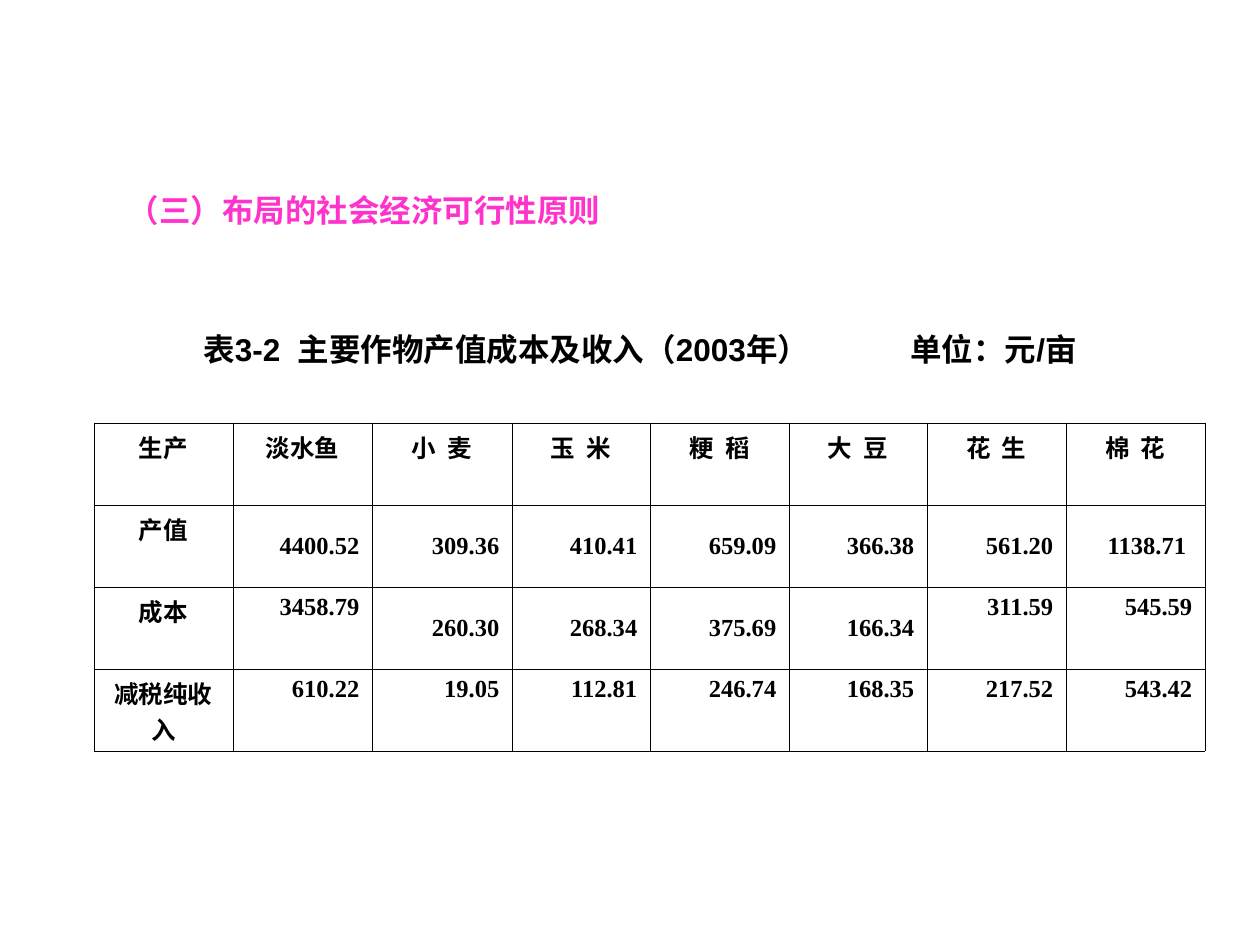
"""Build the slide on crop output value, cost and income."""
from dataclasses import dataclass
from typing import Any

from lxml import etree
from pptx import Presentation
from pptx.dml.color import RGBColor
from pptx.enum.text import MSO_ANCHOR, MSO_AUTO_SIZE, PP_ALIGN
from pptx.oxml.ns import qn
from pptx.util import Pt

EMU_PER_PX = 914400 / 126
PINK = RGBColor(0xFF, 0x33, 0xCC)
BLACK = RGBColor(0, 0, 0)
LEFT, CENTER, RIGHT = PP_ALIGN.LEFT, PP_ALIGN.CENTER, PP_ALIGN.RIGHT
TOP, MIDDLE = MSO_ANCHOR.TOP, MSO_ANCHOR.MIDDLE
FIT_SHAPE = MSO_AUTO_SIZE.SHAPE_TO_FIT_TEXT
OUTER, INNER = Pt(0.45), Pt(0.34)

COL_WIDTHS = [139, 139, 140, 138, 139, 138, 139, 139]
ROW_HEIGHT = 82
UNIT_TAB = 707


@dataclass(frozen=True)
class Box:
    left: int
    top: int
    width: int
    height: int

    def emu(self) -> list[int]:
        return [px(v) for v in (self.left, self.top, self.width, self.height)]


@dataclass(frozen=True)
class Row:
    cells: list[str]
    middle: range = range(0)
    align: Any = RIGHT


ROWS = [
    Row(["生产", "淡水鱼", "小  麦", "玉  米", "粳  稻", "大  豆", "花  生", "棉  花"],
        align=CENTER),
    Row(["产值", "4400.52", "309.36", "410.41", "659.09", "366.38", "561.20", "1138.71 "],
        range(1, 8)),
    Row(["成本", "3458.79", "260.30", "268.34", "375.69", "166.34", "311.59", "545.59"],
        range(2, 6)),
    Row(["减税纯收入", "610.22", "19.05", "112.81", "246.74", "168.35", "217.52", "543.42"]),
]


def px(value: float) -> int:
    return round(value * EMU_PER_PX)


def write(tf: Any, text: str, font: str, size: int, color: RGBColor, align: Any) -> None:
    p = tf.paragraphs[0]
    p.alignment = align
    r = p.add_run()
    r.text = text
    for name, value in {"name": font, "size": Pt(size), "bold": True}.items():
        setattr(r.font, name, value)
    r.font.color.rgb = color


def format_frame(tf: Any, wrap: bool) -> None:
    settings = {"word_wrap": wrap, "vertical_anchor": MIDDLE, "auto_size": FIT_SHAPE}
    for name, value in settings.items():
        setattr(tf, name, value)


def add_border(cell: Any, side: str, width: int) -> None:
    ln = etree.SubElement(cell._tc.get_or_add_tcPr(), qn(f"a:{side}"), w=str(int(width)))
    fill = etree.SubElement(ln, qn("a:solidFill"))
    etree.SubElement(fill, qn("a:srgbClr"), val=str(BLACK))


def add_heading(slide: Any, box: Box, text: str) -> None:
    sp = slide.shapes.title
    sp.left, sp.top, sp.width, sp.height = box.emu()
    format_frame(sp.text_frame, True)
    write(sp.text_frame, text, "Arial", 18, PINK, LEFT)


def add_caption(slide: Any, box: Box, text: str) -> None:
    tf = slide.shapes.add_textbox(*box.emu()).text_frame
    format_frame(tf, False)
    write(tf, text, "Arial", 18, BLACK, LEFT)
    tabs = etree.SubElement(tf.paragraphs[0]._p.get_or_add_pPr(), qn("a:tabLst"))
    etree.SubElement(tabs, qn("a:tab"), pos=str(px(UNIT_TAB)), algn="l")


def add_crop_table(slide: Any, left: int, top: int) -> None:
    box = Box(left, top, sum(COL_WIDTHS), ROW_HEIGHT * len(ROWS))
    table = slide.shapes.add_table(len(ROWS), len(COL_WIDTHS), *box.emu()).table
    table.first_row = table.horz_banding = False
    for col, width in zip(table.columns, COL_WIDTHS):
        col.width = px(width)
    for i, row in enumerate(ROWS):
        table.rows[i].height = px(ROW_HEIGHT)
        borders = {"lnL": INNER, "lnR": INNER,
                   "lnT": OUTER if i < 2 else INNER,
                   "lnB": OUTER if i in (0, len(ROWS) - 1) else INNER}
        for j, text in enumerate(row.cells):
            cell = table.cell(i, j)
            cell.vertical_anchor = MIDDLE if j in row.middle else TOP
            for side, width in borders.items():
                add_border(cell, side, width)
            cell.fill.background()
            align = row.align if j else CENTER
            write(cell.text_frame, text, "Times New Roman", 14, BLACK, align)


def main() -> None:
    prs = Presentation()
    prs.slide_width, prs.slide_height = px(1260), px(945)
    slide = prs.slides.add_slide(prs.slide_layouts[5])
    add_heading(slide, Box(115, 185, 605, 50), "（三）布局的社会经济可行性原则")
    add_crop_table(slide, 94, 423)
    add_caption(slide, Box(191, 324, 914, 50),
                "表3-2  主要作物产值成本及收入（2003年）\t单位：元/亩")
    prs.save("out.pptx")


if __name__ == "__main__":
    main()
